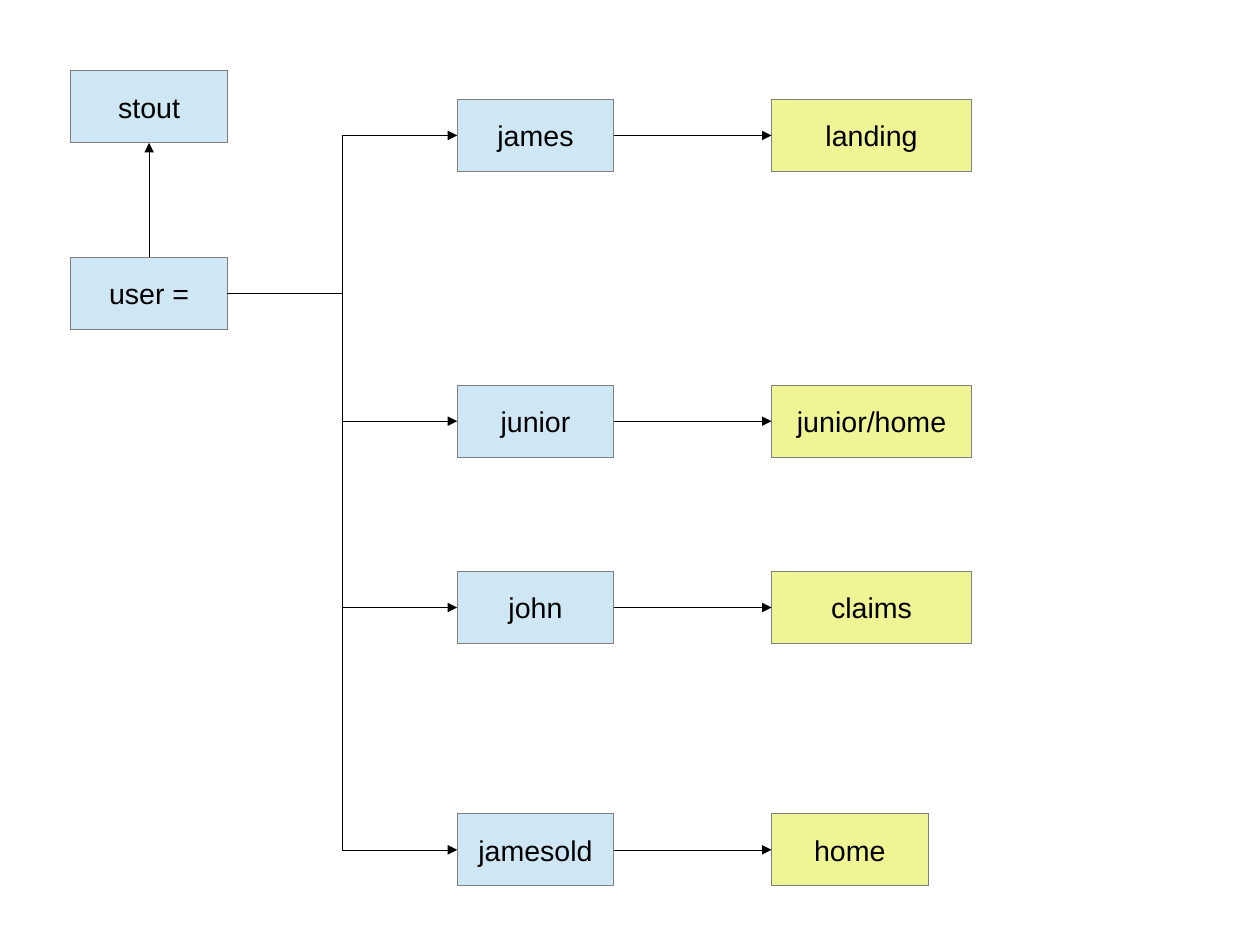
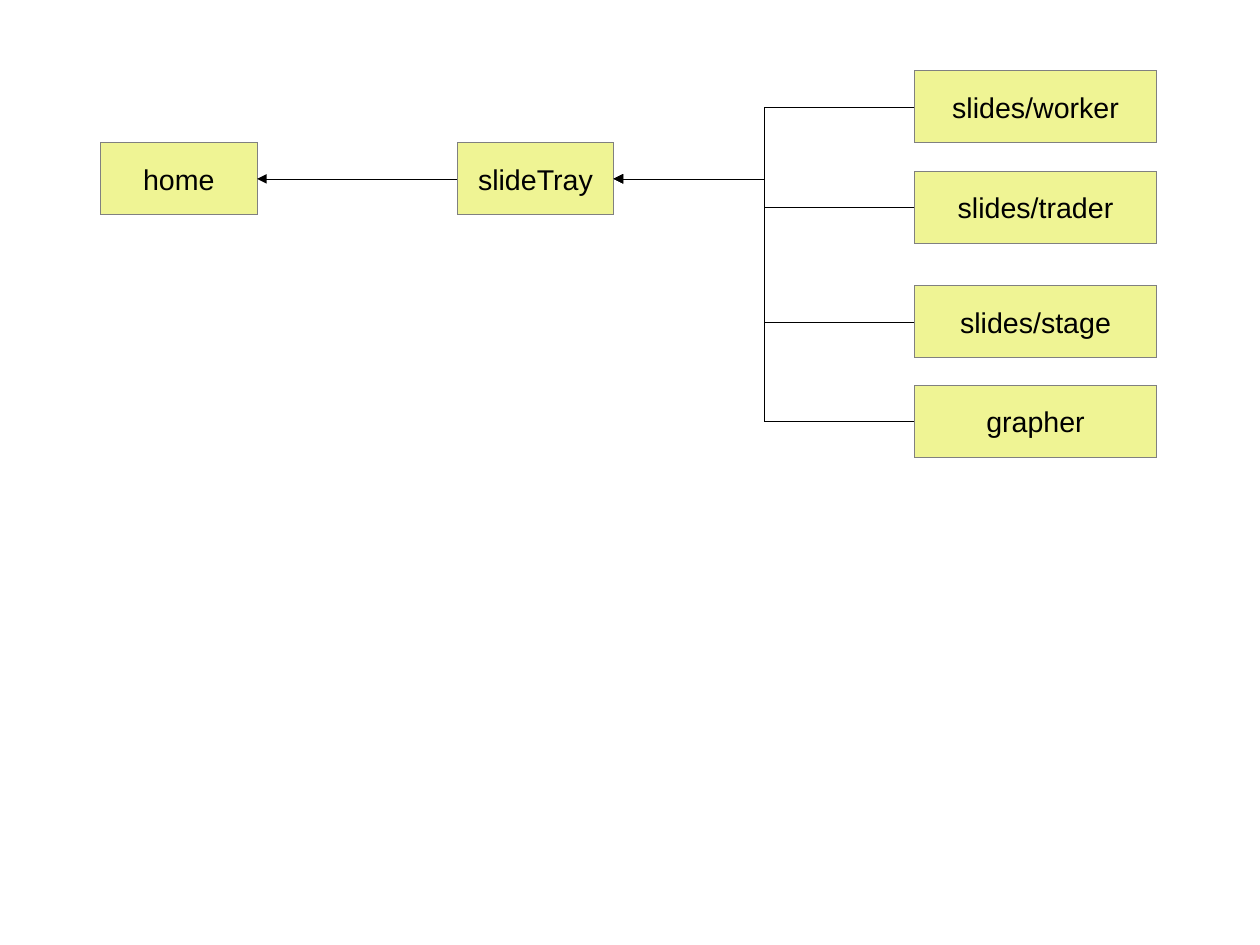
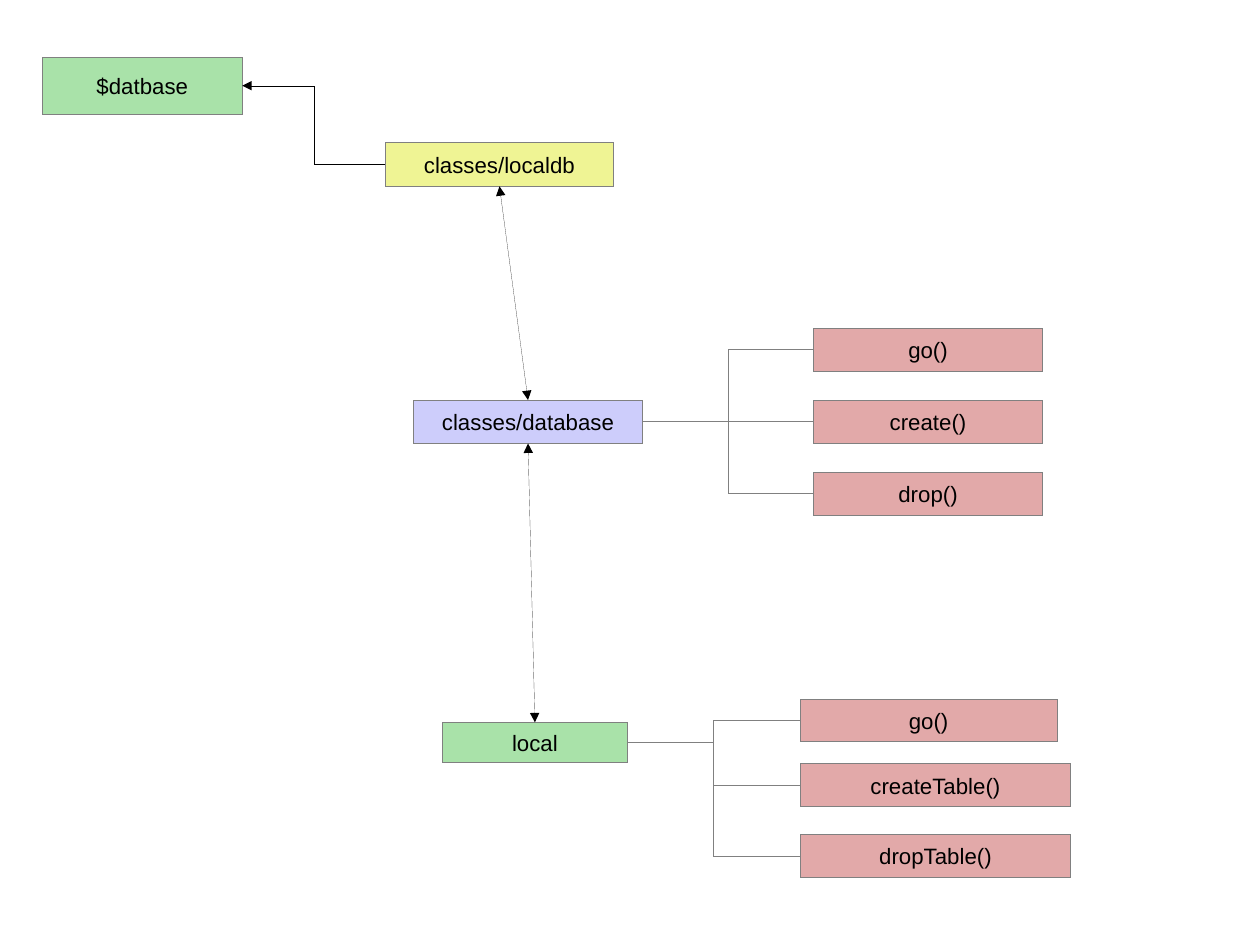
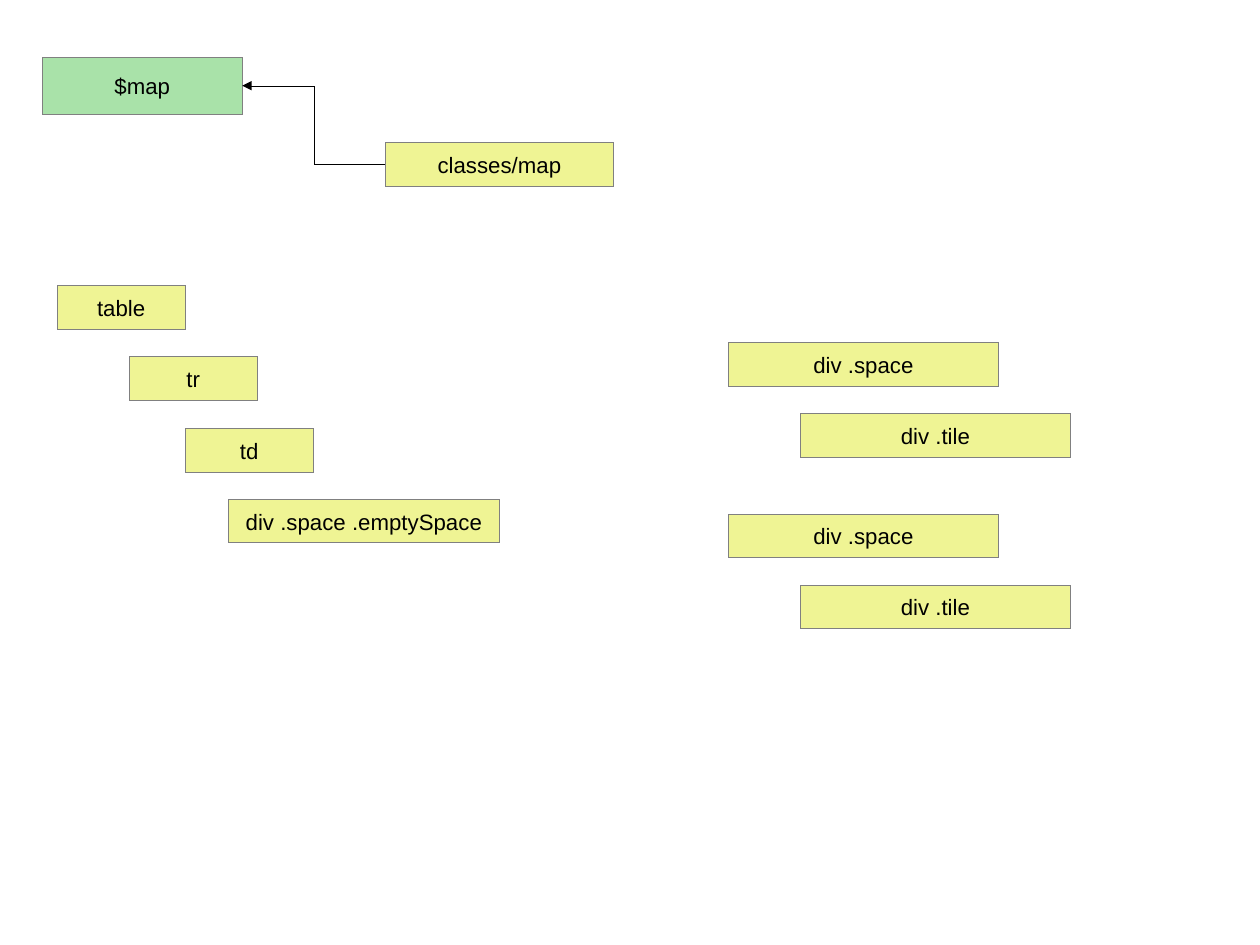
from dataclasses import dataclass
from enum import IntEnum

from lxml.etree import SubElement
from pptx import Presentation
from pptx.dml.color import RGBColor
from pptx.enum.shapes import MSO_CONNECTOR as Connector
from pptx.enum.shapes import MSO_SHAPE as Preset
from pptx.enum.text import MSO_ANCHOR as Anchor
from pptx.enum.text import PP_ALIGN as Align
from pptx.oxml.ns import qn
from pptx.shapes.autoshape import Shape
from pptx.slide import Slide
from pptx.text.text import TextFrame
from pptx.util import Inches, Pt

CM_PER_INCH = 2.54


@dataclass(frozen=True)
class Theme:
    font: str = "Arial"
    large: int = 18
    small: int = 14
    black: str = "000000"
    gray: str = "808080"
    blue: str = "CFE7F5"
    yellow: str = "EFF494"
    green: str = "A9E2A9"
    violet: str = "CDCDFB"
    red: str = "E2A9A9"
    hairline: float = 0.01


THEME = Theme()


@dataclass(frozen=True)
class Box:
    text: str
    left: float
    top: float
    width: float
    height: float = 0.38
    fill: str = THEME.yellow
    size: int = THEME.small


class Side(IntEnum):
    TOP = 0
    LEFT = 1
    BOTTOM = 2
    RIGHT = 3


def write(frame: TextFrame, text: str, *, size: int, color: str = THEME.black,
          align: Align = Align.CENTER, anchor: Anchor = Anchor.MIDDLE) -> None:
    frame.word_wrap = True
    frame.vertical_anchor = anchor
    paragraph = frame.paragraphs[0]
    paragraph.alignment = align
    run = paragraph.add_run()
    run.text = text
    run.font.name = THEME.font
    run.font.size = Pt(size)
    run.font.color.rgb = RGBColor.from_string(color)


def draw_box(slide: Slide, box: Box) -> Shape:
    node = slide.shapes.add_shape(
        Preset.RECTANGLE, Inches(box.left), Inches(box.top),
        Inches(box.width), Inches(box.height))
    node.shadow.inherit = False
    node.fill.solid()
    node.fill.fore_color.rgb = RGBColor.from_string(box.fill)
    node.line.color.rgb = RGBColor.from_string(THEME.gray)
    node.line.width = Pt(THEME.hairline)
    write(node.text_frame, box.text, size=box.size)
    return node


def large_box(slide: Slide, text: str, left: float, top: float,
              width: float = 1.37, fill: str = THEME.yellow) -> Shape:
    return draw_box(slide, Box(text, left, top, width, 0.63, fill, THEME.large))


def link(slide: Slide, start: Shape, end: Shape, *,
         sides: tuple[Side, Side] = (Side.RIGHT, Side.LEFT),
         color: str = THEME.black, head: bool = False, tail: bool = True) -> None:
    """Join two boxes, bending only where a sideways link changes height."""
    sideways = sides[0] in (Side.LEFT, Side.RIGHT)
    level = start.top + start.height // 2 == end.top + end.height // 2
    kind = Connector.ELBOW if sideways and not level else Connector.STRAIGHT
    connector = slide.shapes.add_connector(kind, 0, 0, 0, 0)
    connector.begin_connect(start, sides[0])
    connector.end_connect(end, sides[1])
    connector.line.color.rgb = RGBColor.from_string(color)
    connector.line.width = Pt(THEME.hairline)
    properties = connector.line._get_or_add_ln()
    for tag, shown in (("a:headEnd", head), ("a:tailEnd", tail)):
        if shown:
            SubElement(properties, qn(tag), type="triangle")
    SubElement(connector._element.spPr, qn("a:effectLst"))


def build_users(slide: Slide) -> None:
    stout = large_box(slide, "stout", 0.62, 0.62, fill=THEME.blue)
    user = large_box(slide, "user =", 0.62, 2.25, fill=THEME.blue)
    link(slide, user, stout, sides=(Side.TOP, Side.BOTTOM))
    for name, page, top, page_width in (
        ("james", "landing", 0.87, 1.75),
        ("junior", "junior/home", 3.37, 1.75),
        ("john", "claims", 5, 1.75),
        ("jamesold", "home", 7.12, 1.37),
    ):
        account = large_box(slide, name, 4, top, fill=THEME.blue)
        target = large_box(slide, page, 6.75, top, page_width)
        link(slide, user, account)
        link(slide, account, target)


def build_slide_tray(slide: Slide) -> None:
    leftward = (Side.LEFT, Side.RIGHT)
    home = large_box(slide, "home", 0.88, 1.25)
    tray = large_box(slide, "slideTray", 4, 1.25)
    link(slide, tray, home, sides=leftward)
    for name, top in (("slides/worker", 0.62), ("slides/trader", 1.5),
                      ("slides/stage", 2.5), ("grapher", 3.37)):
        link(slide, large_box(slide, name, 8, top, 2.12), tray, sides=leftward)


def draw_instance(slide: Slide, variable: str, class_name: str) -> Shape:
    """Draw a variable with the class it comes from, and return the class."""
    instance = draw_box(slide, Box(variable, 0.37, 0.5, 1.75, 0.5, THEME.green))
    source = draw_box(slide, Box(class_name, 3.37, 1.25, 2))
    link(slide, source, instance, sides=(Side.LEFT, Side.RIGHT))
    return source


def draw_methods(slide: Slide, owner: Shape, methods: tuple[Box, ...]) -> None:
    for method in methods:
        link(slide, owner, draw_box(slide, method), color=THEME.gray, tail=False)


def build_database(slide: Slide) -> None:
    localdb = draw_instance(slide, "$datbase", "classes/localdb")
    database = draw_box(
        slide, Box("classes/database", 3.62, 3.5, 2, fill=THEME.violet))
    local = draw_box(slide, Box("local", 3.87, 6.32, 1.62, 0.35, THEME.green))
    for upper, lower in ((localdb, database), (database, local)):
        link(slide, upper, lower, sides=(Side.BOTTOM, Side.TOP), head=True)
    draw_methods(slide, database, tuple(
        Box(name, 7.12, 2.87 + 0.63 * row, 2, fill=THEME.red)
        for row, name in enumerate(("go()", "create()", "drop()"))))
    draw_methods(slide, local, (
        Box("go()", 7, 6.12, 2.25, 0.37, THEME.red),
        Box("createTable()", 7, 6.68, 2.37, fill=THEME.red),
        Box("dropTable()", 7, 7.3, 2.37, fill=THEME.red),
    ))


def build_map(slide: Slide) -> None:
    draw_instance(slide, "$map", "classes/map")
    elements = (("table", 0.5, 2.5, 1.12), ("tr", 1.13, 3.12, 1.12),
                ("td", 1.62, 3.75, 1.12),
                ("div .space .emptySpace", 2, 4.37, 2.37))
    for element in elements:
        draw_box(slide, Box(*element))
    for top in (3, 4.5):
        draw_box(slide, Box("div .space", 6.37, top, 2.37))
        draw_box(slide, Box("div .tile", 7, top + 0.62, 2.37))


def main() -> None:
    deck = Presentation()
    deck.slide_width = Inches(28 / CM_PER_INCH)
    deck.slide_height = Inches(21 / CM_PER_INCH)
    blank = deck.slide_layouts[6]
    for build in (build_users, build_slide_tray, build_database, build_map):
        build(deck.slides.add_slide(blank))
    deck.save("out.pptx")


if __name__ == "__main__":
    main()
